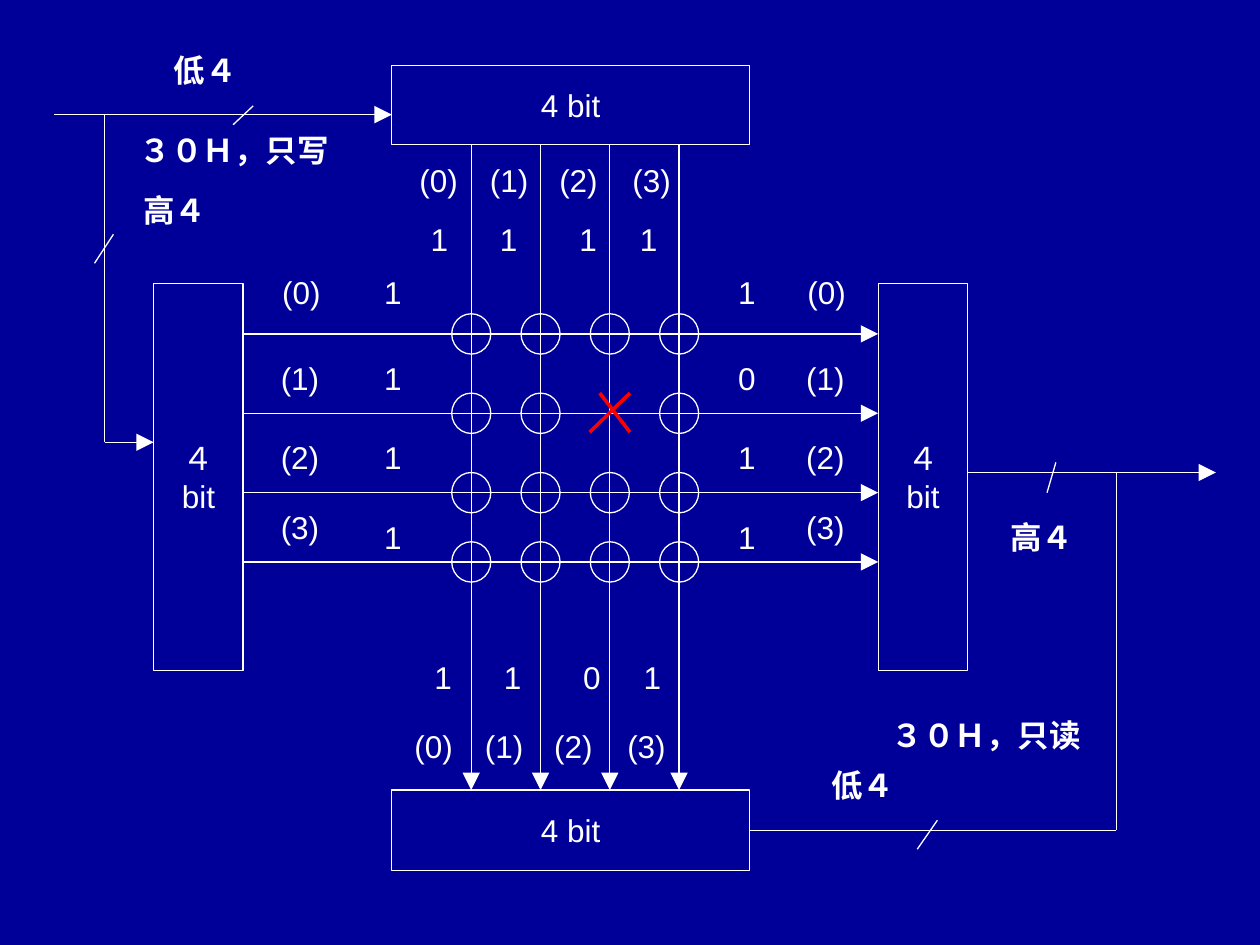
import pptx
import pptx.dml.color
import pptx.enum.shapes
import pptx.enum.text
import pptx.oxml.ns
import pptx.util
from lxml import etree
from pptx.util import Inches

WHITE, RED, NAVY = "FFFFFF", "FF0000", "000099"
COLUMNS = [3.74 + 0.55 * i for i in range(4)]
ROWS = [2.65, 3.28, 3.91, 4.46]
BROKEN = (2, 1)  # column and row of the open crossing
INDEXES = ["(0)", "(1)", "(2)", "(3)"]
DIGIT_WIDTH, INDEX_WIDTH = 0.34, 0.52
NODE_WIDTH, NODE_HEIGHT = 0.31, 0.32


def rgb(color):
    return pptx.dml.color.RGBColor.from_string(color)


def write(frame, text, size=18, color=WHITE, bold=None, align=None):
    """Fill a text frame, one paragraph for each line of text."""
    frame.word_wrap = False
    for number, line in enumerate(text.split("\n")):
        paragraph = frame.add_paragraph() if number else frame.paragraphs[0]
        paragraph.alignment = align
        run = paragraph.add_run()
        run.text = line
        run.font.name = "Arial"
        run.font.size = pptx.util.Pt(size)
        run.font.bold = bold
        run.font.color.rgb = rgb(color)


def add_outline(shapes, preset, left, top, width, height):
    shape = shapes.add_shape(preset, Inches(left), Inches(top), Inches(width), Inches(height))
    shape.shadow.inherit = False
    shape.fill.background()
    shape.line.color.rgb = rgb(WHITE)
    shape.line.width = pptx.util.Pt(0.75)
    return shape


def add_register(shapes, text, left, top, width, height):
    register = add_outline(shapes, pptx.enum.shapes.MSO_SHAPE.RECTANGLE, left, top, width, height)
    register.text_frame.vertical_anchor = pptx.enum.text.MSO_ANCHOR.MIDDLE
    write(register.text_frame, text, align=pptx.enum.text.PP_ALIGN.CENTER)
    return register


def add_wire(shapes, start, end, arrow=False, color=WHITE, width=0.75):
    wire = shapes.add_connector(
        pptx.enum.shapes.MSO_CONNECTOR.STRAIGHT, *map(Inches, (*start, *end)))
    wire.line.color.rgb = rgb(color)
    wire.line.width = pptx.util.Pt(width)
    properties = wire._element.spPr
    if arrow:
        etree.SubElement(properties.find(pptx.oxml.ns.qn("a:ln")), pptx.oxml.ns.qn("a:tailEnd"),
                         type="triangle", w="lg", len="lg")
    etree.SubElement(properties, pptx.oxml.ns.qn("a:effectLst"))
    return wire


def add_label(shapes, text, left, top, width, bold=None):
    label = shapes.add_textbox(Inches(left), Inches(top), Inches(width), Inches(0.4))
    write(label.text_frame, text, bold=bold)
    label.text_frame.auto_size = pptx.enum.text.MSO_AUTO_SIZE.SHAPE_TO_FIT_TEXT


def add_labels(shapes, texts, lefts, tops, width):
    for text, left, top in zip(texts, lefts, tops):
        add_label(shapes, text, left, top, width)


def add_matrix(shapes):
    for y in ROWS:
        add_wire(shapes, (1.93, y), (6.97, y), arrow=True)
    for x in COLUMNS:
        add_wire(shapes, (x, 1.15), (x, 6.27), arrow=True)
    for row, y in enumerate(ROWS):
        for column, x in enumerate(COLUMNS):
            if (column, row) != BROKEN:
                add_outline(shapes, pptx.enum.shapes.MSO_SHAPE.OVAL, x - NODE_WIDTH / 2,
                            y - NODE_HEIGHT / 2, NODE_WIDTH, NODE_HEIGHT)
    cross = shapes.add_group_shape().shapes
    add_wire(cross, (4.76, 3.12), (5, 3.43), color=RED, width=2)
    add_wire(cross, (5, 3.12), (4.68, 3.43), color=RED, width=2)


def add_matrix_labels(shapes):
    digit_tops = [2.12, 2.8, 3.43, 4.06]
    index_tops = [2.12, 2.8, 3.43, 3.98]
    for digits, digit_left, index_left in (("1111", 2.95, 2.13), ("1011", 5.76, 6.3)):
        add_labels(shapes, digits, [digit_left] * 4, digit_tops, DIGIT_WIDTH)
        add_labels(shapes, INDEXES, [index_left + 0.01] + [index_left] * 3,
                   index_tops, INDEX_WIDTH)

    digit_lefts = [3.32, 3.87, 4.5, 4.98]
    index_lefts = [3.23, 3.79, 4.34, 4.92]
    for digits, digit_top, digit_shift, index_top, index_shift in (
            ("1111", 1.7, 0, 1.23, 0), ("1101", 5.17, 0.03, 5.72, -0.04)):
        add_labels(shapes, digits, [x + digit_shift for x in digit_lefts],
                   [digit_top] * 4, DIGIT_WIDTH)
        add_labels(shapes, INDEXES, [x + index_shift for x in index_lefts],
                   [index_top] * 4, INDEX_WIDTH)


def add_write_port(shapes):
    port = shapes.add_group_shape().shapes
    add_wire(port, (0.43, 0.91), (3.11, 0.91), arrow=True)
    add_wire(port, (0.83, 0.91), (0.83, 3.51))
    add_wire(port, (0.83, 3.51), (1.22, 3.51), arrow=True)
    add_wire(port, (2.01, 0.84), (1.85, 0.99))
    add_wire(port, (0.9, 1.86), (0.75, 2.09))
    add_label(port, "高４", 1.04, 1.47, 0.7, bold=True)
    add_label(port, "低４", 1.28, 0.36, 0.7, bold=True)
    add_label(port, "３０Ｈ，只写", 1.01, 0.99, 1.7, bold=True)


def add_read_port(shapes, column_output):
    port = shapes.add_group_shape().shapes
    low_bus = add_wire(port, (5.95, 6.59), (8.86, 6.59))
    low_bus.begin_connect(column_output, 3)
    add_wire(port, (8.86, 6.59), (8.86, 3.75))
    add_wire(port, (7.68, 3.75), (9.65, 3.75), arrow=True)
    add_wire(port, (8.38, 3.67), (8.31, 3.91))
    add_wire(port, (7.44, 6.51), (7.28, 6.74))
    add_label(port, "低４", 6.5, 6.03, 0.7, bold=True)
    add_label(port, "高４", 7.92, 4.06, 0.7, bold=True)
    add_label(port, "３０Ｈ，只读", 6.98, 5.63, 1.7, bold=True)


def main():
    presentation = pptx.Presentation()
    presentation.slide_width, presentation.slide_height = Inches(10), Inches(7.5)
    slide = presentation.slides.add_slide(presentation.slide_layouts[6])
    slide.background.fill.solid()
    slide.background.fill.fore_color.rgb = rgb(NAVY)
    shapes = slide.shapes

    for left in (1.22, 6.97):
        add_register(shapes, "４\nbit", left, 2.25, 0.71, 3.07)
    add_register(shapes, "4 bit", 3.11, 0.52, 2.84, 0.63)
    column_output = add_register(shapes, "4 bit", 3.11, 6.27, 2.84, 0.64)
    add_matrix(shapes)
    add_matrix_labels(shapes)
    add_write_port(shapes)
    add_read_port(shapes, column_output)
    presentation.save("out.pptx")


if __name__ == "__main__":
    main()
